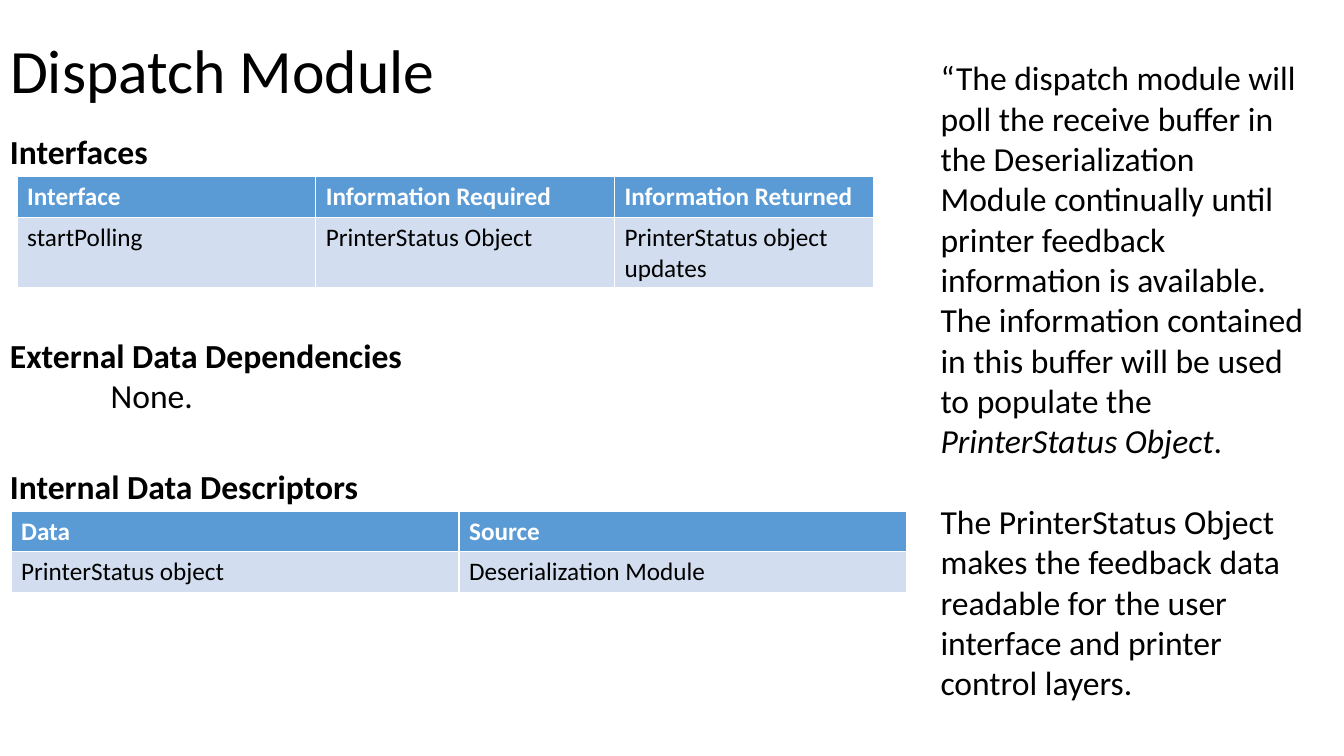
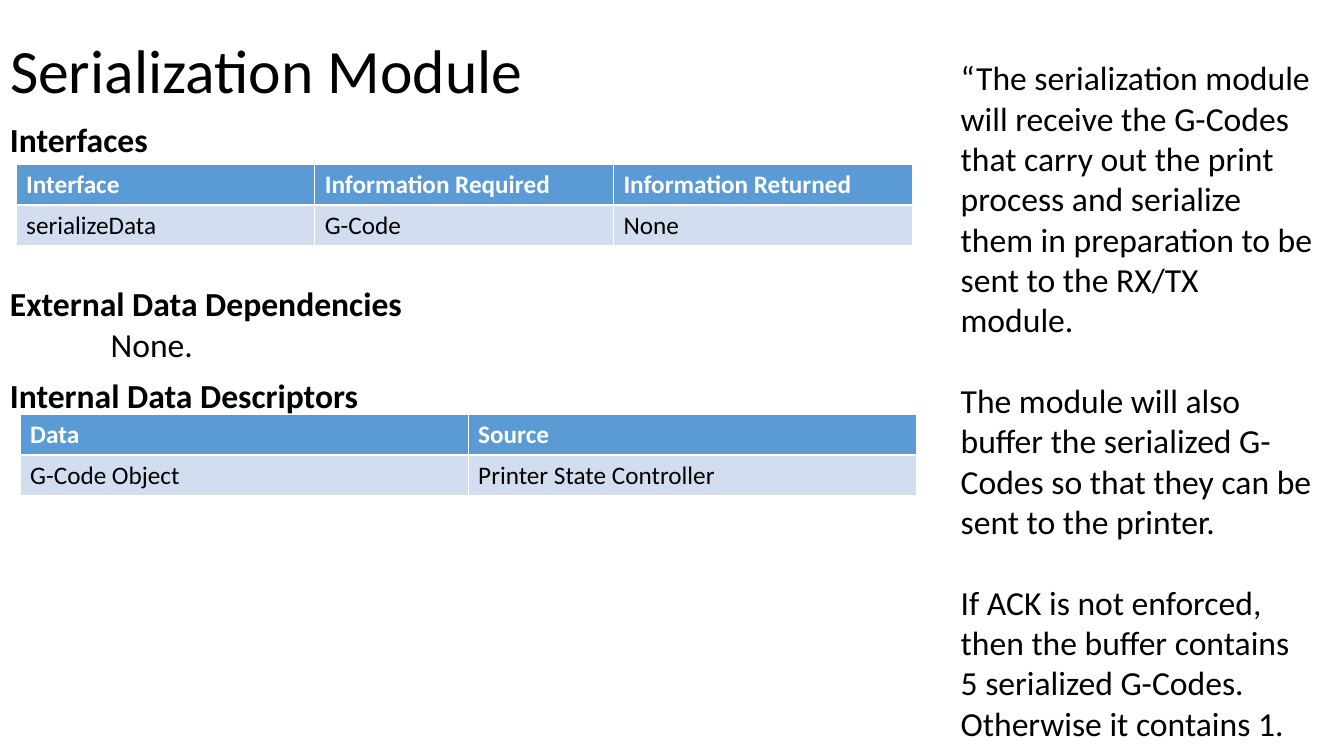
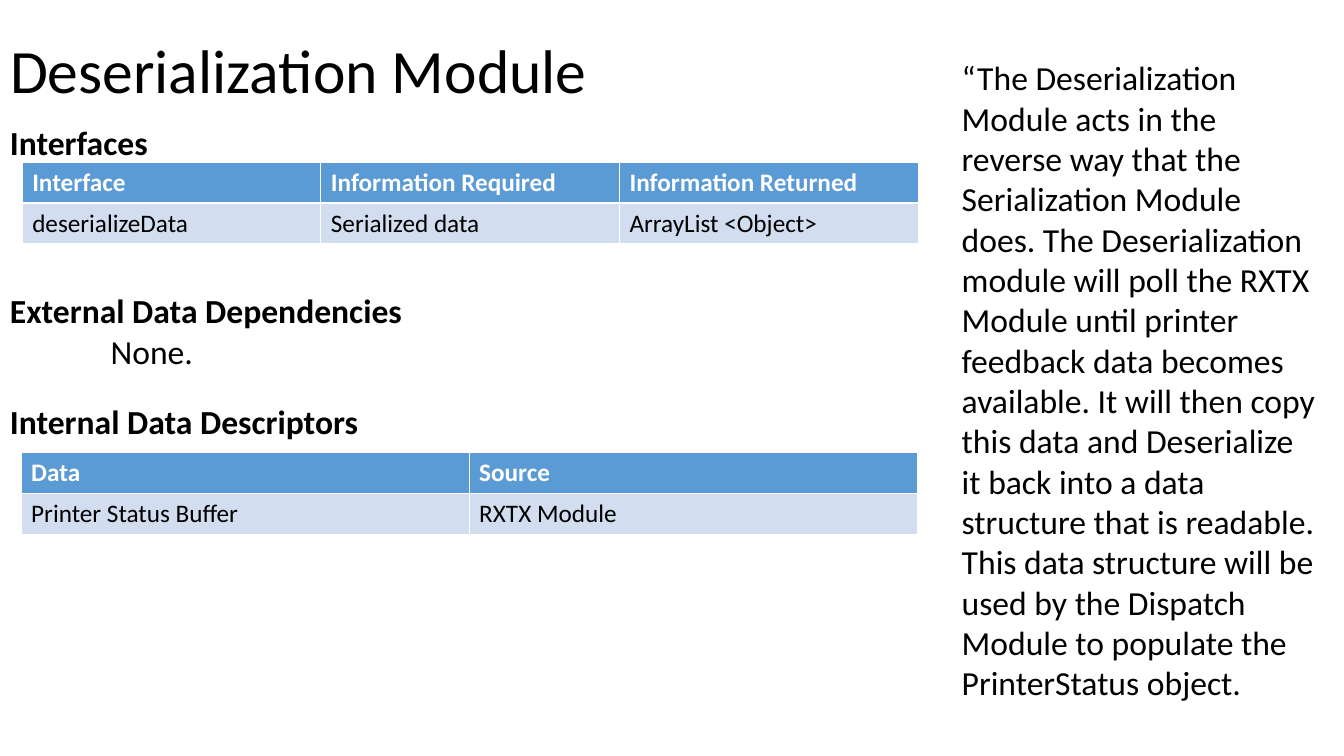
"""Three module slides: title, interface and data tables, and a side note."""
from pptx import Presentation
from pptx.dml.color import RGBColor
from pptx.enum.text import MSO_ANCHOR, MSO_AUTO_SIZE, PP_ALIGN
from pptx.util import Inches, Pt

LEFT, MIDDLE = PP_ALIGN.LEFT, MSO_ANCHOR.MIDDLE
FIXED, GROW = MSO_AUTO_SIZE.NONE, MSO_AUTO_SIZE.SHAPE_TO_FIT_TEXT
BLACK, WHITE, BLUE, PALE = "000000", "FFFFFF", "5B9BD5", "D2DEEF"
FONT = "Calibri"
TITLE = {"size": Pt(44), "bold": False}
HEAD = {"size": Pt(24), "bold": True}
BODY = {"size": Pt(24), "bold": False}
ITALIC = {"size": Pt(24), "bold": False, "italic": True}
LABEL = {"size": Pt(18), "bold": True}
CELL = {"size": Pt(18), "bold": False}

deck = Presentation()
deck.slide_width, deck.slide_height = Inches(13.33), Inches(7.5)
WIDE = deck.slide_width
NINTH = WIDE / 9
ROW = Inches(0.405)
LINE = Inches(0.4)


def hue(code):
    return RGBColor.from_string(code)


def write(para, text, looks, color=BLACK):
    run = para.add_run()
    run.text = text
    run.font.name = FONT
    run.font.color.rgb = hue(color)
    for name, value in looks.items():
        setattr(run.font, name, value)


modules = [
    {"title": "Dispatch Module",
     "heads": [1.25, 3.27, 4.57],
     "grids": [(0.17, 1.75), (0.11, 5.07)],
     "last": Inches(2.57),
     "calls": ["startPolling", "PrinterStatus Object", "PrinterStatus object updates"],
     "data": ["PrinterStatus object", "Deserialization Module"],
     "side": (9.23, 3.82, 6.56),
     "note": [
         [("“The dispatch module will poll the receive buffer in the Deserialization "
           "Module continually until printer feedback information is available. The "
           "information contained in this buffer will be used to populate the ", BODY),
          ("PrinterStatus Object", ITALIC), (".", BODY)],
         [("The PrinterStatus Object makes the feedback data readable for the user "
           "interface and printer control layers.", BODY)]]},
    {"title": "Serialization Module",
     "heads": [1.13, 2.76, 3.67],
     "grids": [(0.16, 1.63), (0.2, 4.11)],
     "last": NINTH * 2,
     "calls": ["serializeData", "G-Code", "None"],
     "data": ["G-Code Object", "Printer State Controller"],
     "side": (9.43, 3.7, 6.97),
     "note": [
         [("“The serialization module will receive the G-Codes that carry out the print "
           "process and serialize them in preparation to be sent to the RX/TX module.", BODY)],
         [("The module will also buffer the serialized G-Codes so that they can be sent "
           "to the printer.", BODY)],
         [("If ACK is not enforced, then the buffer contains 5 serialized G-Codes. "
           "Otherwise it contains 1.", BODY)]]},
    {"title": "Deserialization Module",
     "heads": [1.16, 2.83, 3.93],
     "grids": [(0.22, 1.61), (0.21, 4.49)],
     "last": NINTH * 2,
     "calls": ["deserializeData", "Serialized data", "ArrayList <Object>"],
     "data": ["Printer Status Buffer", "RXTX Module"],
     "side": (9.44, 3.72, 6.56),
     "note": [
         [("“The Deserialization Module acts in the reverse way that the Serialization "
           "Module does. The Deserialization module will poll the RXTX Module until "
           "printer feedback data becomes available. It will then copy this data and "
           "Deserialize it back into a data structure that is readable. This data "
           "structure will be used by the Dispatch Module to populate the "
           "PrinterStatus object.", BODY)]]},
]
topics = [
    [[("Interfaces", HEAD)]],
    [[("External Data Dependencies", HEAD)], [("None.", BODY)]],
    [[("Internal Data Descriptors", HEAD)]],
]

for module in modules:
    slide = deck.slides.add_slide(deck.slide_layouts[5])

    title = slide.shapes.title
    place = {"left": 0, "top": 0, "width": Inches(11.5), "height": Inches(1.45)}
    for name, value in place.items():
        setattr(title, name, value)
    frame = title.text_frame
    frame.auto_size, frame.vertical_anchor = FIXED, MIDDLE
    para = frame.paragraphs[0]
    para.alignment, para.line_spacing = LEFT, 0.9
    write(para, module["title"], TITLE)

    left, width, height = module["side"]
    boxes = [(0, top, 4.6, 0.1 + 0.4 * len(topic), topic, 0, Inches(1))
             for top, topic in zip(module["heads"], topics)]
    boxes.append((left, 0.52, width, height, module["note"], LINE, 0))
    for left, top, width, height, paras, gap, indent in boxes:
        box = slide.shapes.add_textbox(*map(Inches, (left, top, width, height)))
        frame = box.text_frame
        frame.word_wrap, frame.auto_size = True, GROW
        for index, runs in enumerate(paras):
            para = frame.add_paragraph() if index else frame.paragraphs[0]
            if index:
                para.space_before = gap
                para._p.get_or_add_pPr().set("marL", str(indent))
            for text, looks in runs:
                write(para, text, looks)

    tables = [
        (["Interface", "Information Required", "Information Returned"],
         module["calls"], [NINTH * 2, NINTH * 2, module["last"]]),
        (["Data", "Source"], module["data"], [NINTH * 3] * 2),
    ]
    for (left, top), (labels, values, widths) in zip(module["grids"], tables):
        grid = slide.shapes.add_table(2, len(labels), Inches(left), Inches(top),
                                      int(sum(widths)), ROW * 2).table
        for column, width in zip(grid.columns, widths):
            column.width = int(width)
        bands = [(labels, LABEL, WHITE, BLUE), (values, CELL, BLACK, PALE)]
        for row, (texts, looks, ink, shade) in zip(grid.rows, bands):
            for cell, text in zip(row.cells, texts):
                cell.fill.solid()
                cell.fill.fore_color.rgb = hue(shade)
                write(cell.text_frame.paragraphs[0], text, looks, ink)

deck.save("out.pptx")
